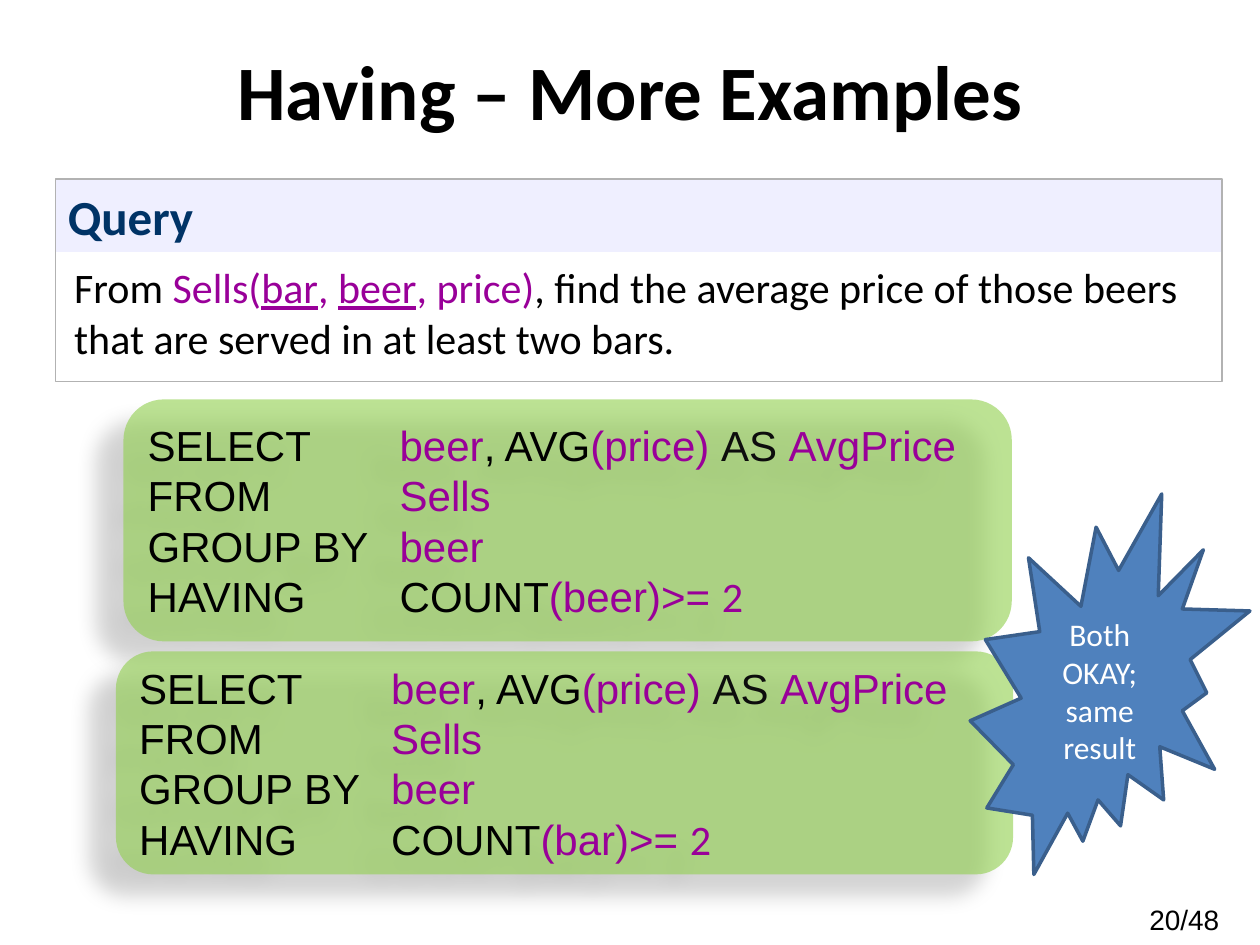
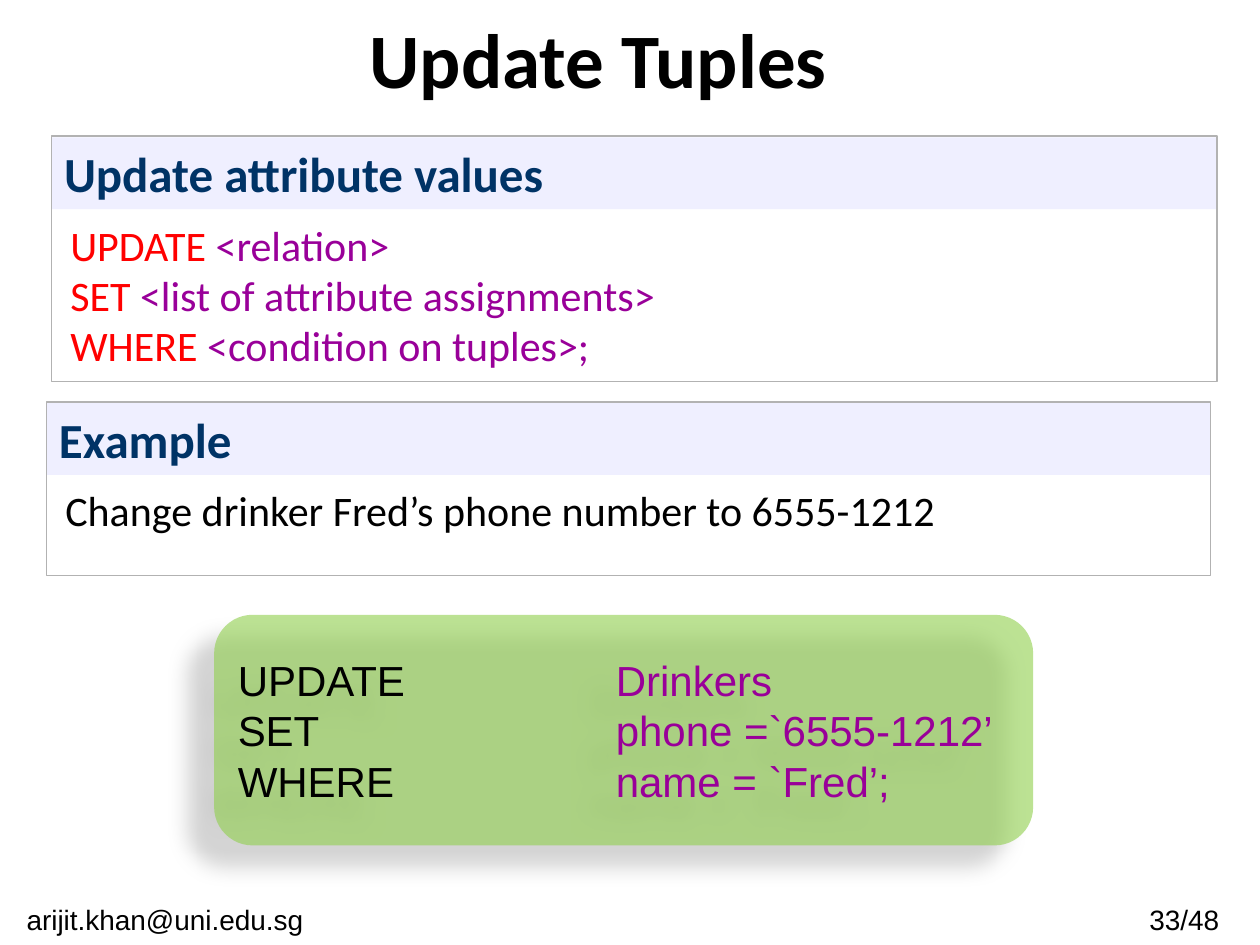
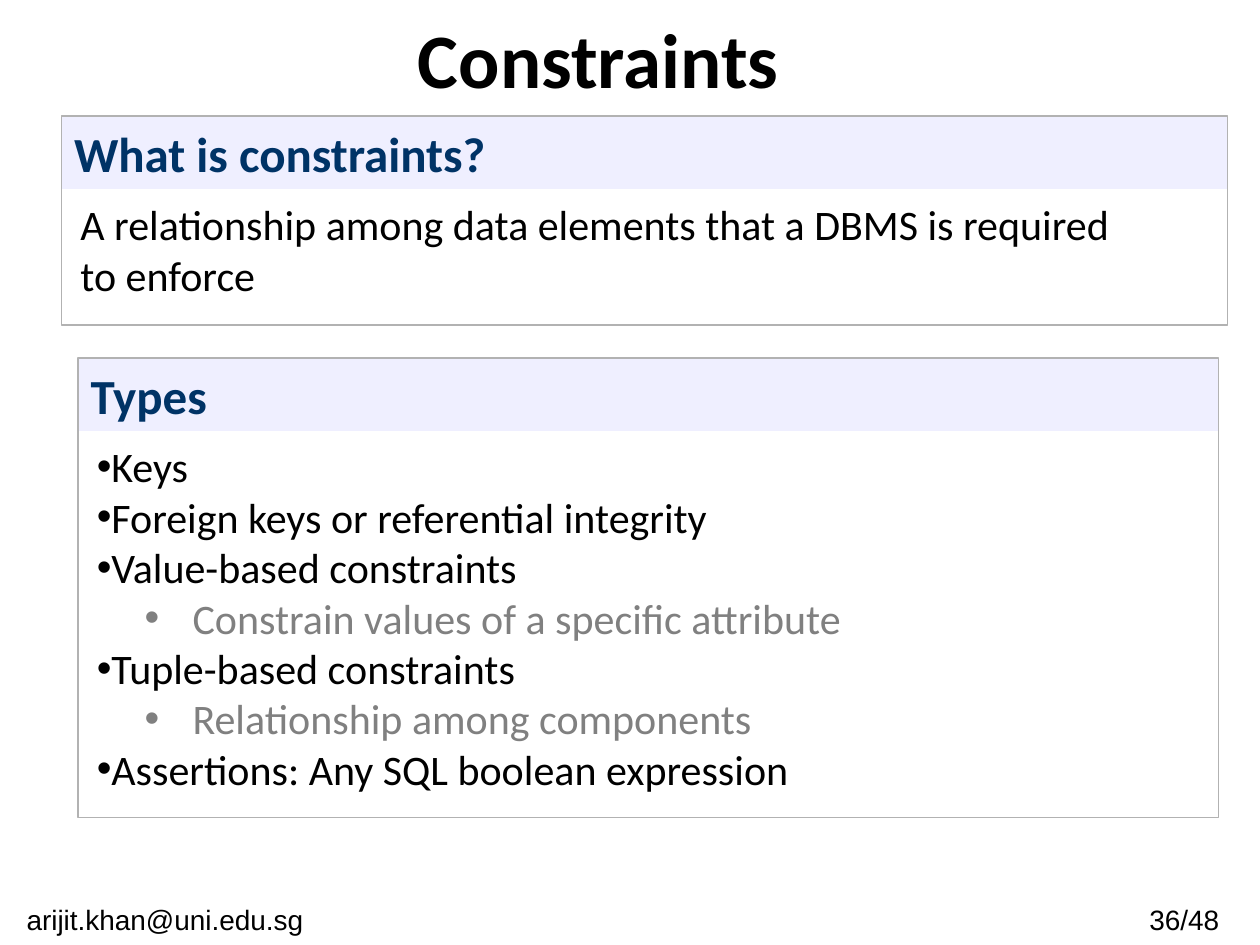
from dataclasses import dataclass
from typing import NamedTuple

from lxml import etree
from pptx import Presentation, util as u
from pptx.dml import color as dml
from pptx.enum import shapes, text
from pptx.oxml import ns

COLORS = {
    "ink": "000000",
    "soft_ink": "0D0D0D",
    "schema": "990099",
    "keyword": "FF0000",
    "heading": "003366",
    "band": "EFEFFF",
    "frame": "B2B2B2",
    "detail": "808080",
    "code": "92D050",
    "burst": "4F81BD",
    "burst_edge": "3A5F8C",
    "white": "FFFFFF",
}
BODY_FONT = "Calibri"
CODE_FONT = "Arial"
EMAIL = "arijit.khan@uni.edu.sg "
PAGE_COUNT = 48


class Box(NamedTuple):
    left: float
    top: float
    width: float
    height: float

    def emu(self):
        return [u.Inches(length) for length in self]


class Run(NamedTuple):
    text: str
    color: str = ""
    underline: bool = False
    font: str = ""


class Line(NamedTuple):
    runs: tuple
    bullet: bool = False
    level: int = 0


@dataclass
class Panel:
    box: Box
    heading: str
    lines: list


@dataclass
class CodeBlock:
    box: Box
    lines: list
    tab: float


def plain(words: str, color: str = "", **layout) -> Line:
    return Line((Run(words, color),), **layout)


def rgb(name: str) -> dml.RGBColor:
    return dml.RGBColor.from_string(COLORS[name])


def add_xml(parent, tag: str, **attributes):
    return etree.SubElement(parent, ns.qn(tag), attributes)


def set_bullet(paragraph, level: int) -> None:
    properties = paragraph._p.get_or_add_pPr()
    if level:
        paragraph.level = level
        properties.set("marL", str(u.Inches(0.76)))
        properties.set("indent", str(u.Inches(-0.38)))
    add_xml(properties, "a:buFont", typeface="Arial")
    add_xml(properties, "a:buChar", char="•")


def set_tab(paragraph, position: float) -> None:
    stops = add_xml(paragraph._p.get_or_add_pPr(), "a:tabLst")
    add_xml(stops, "a:tab", pos=str(u.Inches(position)), algn="l")


def write(shape, lines: list, *, size: int = 24, color: str = "ink",
          font: str = BODY_FONT, bold: bool = False,
          align=text.PP_ALIGN.LEFT, anchor=text.MSO_ANCHOR.TOP,
          tab: float = 0) -> None:
    frame = shape.text_frame
    frame.word_wrap = True
    frame.vertical_anchor = anchor
    for index, line in enumerate(lines):
        paragraph = frame.add_paragraph() if index else frame.paragraphs[0]
        paragraph.alignment = align
        if line.bullet:
            set_bullet(paragraph, line.level)
        if tab:
            set_tab(paragraph, tab)
        for part in line.runs:
            run = paragraph.add_run()
            run.text = part.text
            run.font.size = u.Pt(size)
            run.font.name = part.font or font
            run.font.bold = bold
            run.font.underline = part.underline
            run.font.color.rgb = rgb(part.color or color)


def add_words(slide, box: Box, lines: list, **formatting) -> None:
    write(slide.shapes.add_textbox(*box.emu()), lines, **formatting)


def add_block(slide, kind, box: Box, fill: str = "", edge: str = "",
              edge_width: float = 0.75):
    block = slide.shapes.add_shape(kind, *box.emu())
    block.shadow.inherit = False
    if fill:
        block.fill.solid()
        block.fill.fore_color.rgb = rgb(fill)
    else:
        block.fill.background()
    if edge:
        block.line.color.rgb = rgb(edge)
        block.line.width = u.Pt(edge_width)
    else:
        block.line.fill.background()
    return block


def add_panel(slide, panel: Panel) -> None:
    left, top, width, height = panel.box
    rectangle = shapes.MSO_SHAPE.RECTANGLE
    band = add_block(slide, rectangle, Box(left, top + 0.01, width, 0.57), "band")
    write(band, [plain(panel.heading)], size=28, color="heading", bold=True)
    add_block(slide, rectangle, panel.box, edge="frame")
    body = Box(left + 0.05, top + 0.61, width - 0.08, height - 0.65)
    add_words(slide, body, panel.lines)


def add_code(slide, code: CodeBlock) -> None:
    block = add_block(slide, shapes.MSO_SHAPE.ROUNDED_RECTANGLE, code.box, "code")
    properties = block._element.spPr
    fill_color = properties.find(".//" + ns.qn("a:srgbClr"))
    add_xml(fill_color, "a:alpha", val="61000")
    shadow = add_xml(properties.find(ns.qn("a:effectLst")), "a:outerShdw",
                     blurRad=str(u.Pt(11.8)), dist=str(u.Pt(19.7)),
                     dir=str(141 * 60000), algn="ctr", rotWithShape="0")
    shade = add_xml(shadow, "a:srgbClr", val=COLORS["ink"])
    add_xml(shade, "a:alpha", val="28000")
    write(block, code.lines, font=CODE_FONT, tab=code.tab,
          anchor=text.MSO_ANCHOR.MIDDLE)


def add_burst(slide, box: Box, message: str) -> None:
    burst = add_block(slide, shapes.MSO_SHAPE.EXPLOSION2, box, "burst",
                      "burst_edge", 2)
    write(burst, [plain(message)], size=18, color="white",
          align=text.PP_ALIGN.CENTER, anchor=text.MSO_ANCHOR.MIDDLE)


def add_slide(deck, title: str, page: int, panels: list, codes: list = (),
              title_box: Box = Box(0.25, 0.08, 9, 0.75), email: bool = True):
    slide = deck.slides.add_slide(deck.slide_layouts[6])
    centre = text.PP_ALIGN.CENTER
    add_words(slide, title_box, [plain(title)], size=44, bold=True,
              align=centre, anchor=text.MSO_ANCHOR.MIDDLE)
    footers = [(Box(8.85, 7.11, 1.16, 0.39), f"{page}/{PAGE_COUNT} ")]
    if email:
        footers.insert(0, (Box(0, 7.11, 2.68, 0.39), EMAIL))
    for box, words in footers:
        add_words(slide, box, [plain(words)], size=16, font=CODE_FONT, align=centre)
    for panel in panels:
        add_panel(slide, panel)
    for code in codes:
        add_code(slide, code)
    return slide


def clause(keyword: str, value: str) -> Line:
    return Line((Run(keyword + "\t"), Run(value, "schema")))


def syntax(keyword: str, argument: str) -> Line:
    return Line((Run(keyword + " ", "keyword"), Run(argument, "schema")))


def average_query(counted: str) -> list:
    return [
        Line((Run("SELECT\t"), Run("beer", "schema"), Run(", AVG"),
              Run("(price) ", "schema"), Run("AS ", "soft_ink"),
              Run("AvgPrice", "schema"))),
        clause("FROM", "Sells"),
        clause("GROUP BY", "beer"),
        Line((Run("HAVING\tCOUNT"), Run(f"({counted})>= ", "schema"),
              Run("2", "schema", font=BODY_FONT))),
    ]


def build_having(deck) -> None:
    request = Line((
        Run("From "), Run("Sells(", "schema"), Run("bar", "schema", True),
        Run(", ", "schema"), Run("beer", "schema", True),
        Run(", price)", "schema"),
        Run(", find the average price of those beers that are served in at "
            "least two bars."),
    ))
    slide = add_slide(
        deck, "Having – More Examples", 20,
        [Panel(Box(0.44, 1.42, 9.26, 1.61), "Query", [request])],
        [CodeBlock(Box(0.98, 3.17, 7.05, 1.92), average_query("beer"), 2),
         CodeBlock(Box(0.92, 5.17, 7.12, 1.77), average_query("bar"), 2)],
        title_box=Box(0.69, 0.17, 8.62, 1.09), email=False)
    add_burst(slide, Box(7.7, 3.92, 2.22, 3.02), "Both OKAY; same result")


def build_update(deck) -> None:
    form = [syntax("UPDATE", "<relation>"),
            syntax("SET", "<list of attribute assignments>"),
            syntax("WHERE", "<condition on tuples>;")]
    task = [plain("Change drinker Fred’s phone number to 6555-1212")]
    statement = [clause("UPDATE", "Drinkers"),
                 clause("SET", "phone =`6555-1212’"),
                 clause("WHERE", "name = `Fred’;")]
    add_slide(
        deck, "Update Tuples", 33,
        [Panel(Box(0.41, 1.08, 9.25, 1.95), "Update attribute values", form),
         Panel(Box(0.37, 3.19, 9.24, 1.38), "Example", task)],
        [CodeBlock(Box(1.7, 4.88, 6.5, 1.83), statement, 3)])


def build_constraints(deck) -> None:
    definition = [
        plain("A relationship among data elements that a DBMS is required"),
        plain("to enforce"),
    ]
    kinds = [
        ("Keys", 0),
        ("Foreign keys or referential integrity", 0),
        ("Value-based constraints", 0),
        ("Constrain values of a specific attribute", 1),
        ("Tuple-based constraints", 0),
        ("Relationship among components", 1),
        ("Assertions: Any SQL boolean expression", 0),
    ]
    bullets = [plain(words, "detail" if level else "ink", bullet=True, level=level)
               for words, level in kinds]
    add_slide(
        deck, "Constraints", 36,
        [Panel(Box(0.49, 0.92, 9.25, 1.66), "What is constraints?", definition),
         Panel(Box(0.62, 2.84, 9.05, 3.65), "Types", bullets)])


def main() -> None:
    deck = Presentation()
    deck.slide_width = u.Inches(10)
    deck.slide_height = u.Inches(7.5)
    build_having(deck)
    build_update(deck)
    build_constraints(deck)
    deck.save("out.pptx")


if __name__ == "__main__":
    main()
